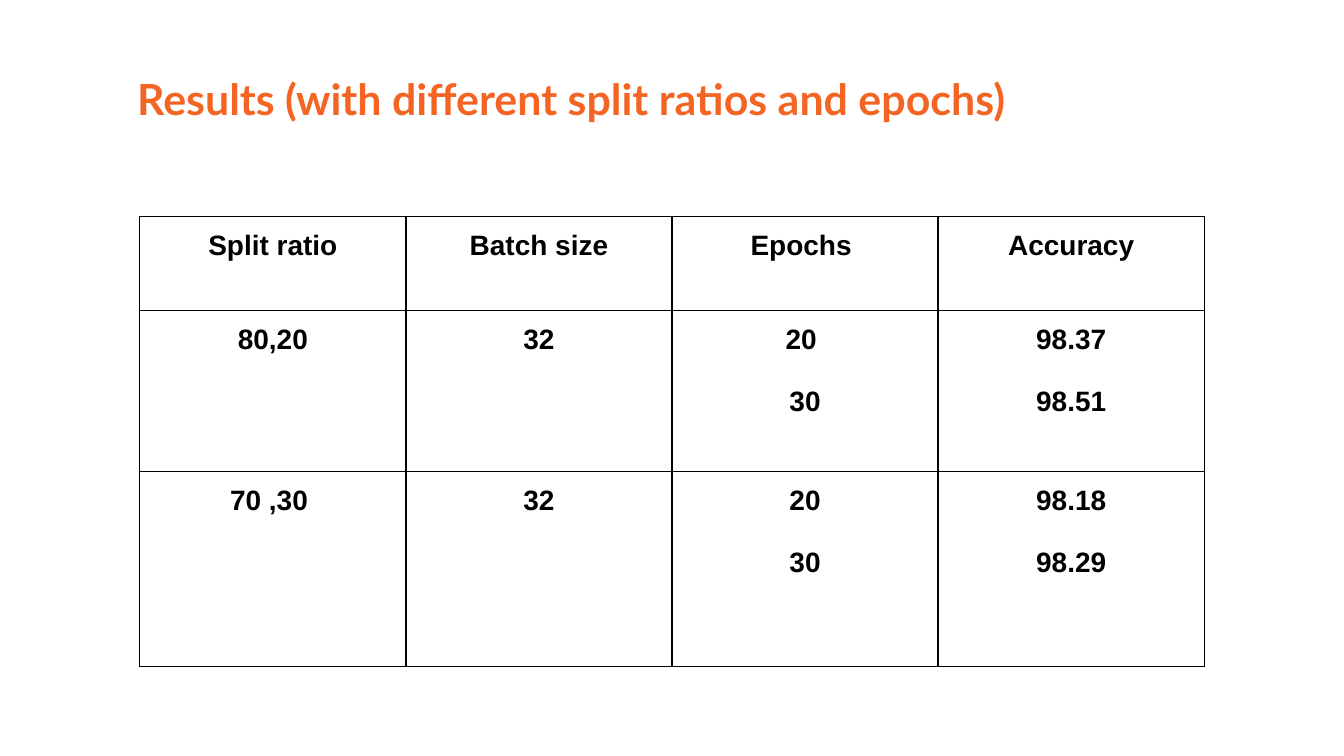
from lxml import etree
from pptx import Presentation
from pptx.dml.color import RGBColor
from pptx.enum.text import MSO_ANCHOR, MSO_AUTO_SIZE, PP_ALIGN
from pptx.oxml.ns import qn
from pptx.util import Inches, Pt

TOP = MSO_ANCHOR.TOP
NO_AUTOFIT = MSO_AUTO_SIZE.NONE
LEFT, CENTER = PP_ALIGN.LEFT, PP_ALIGN.CENTER
ORANGE = RGBColor(0xF4, 0x65, 0x24)
BLACK = RGBColor(0, 0, 0)
WHITE = RGBColor(0xFF, 0xFF, 0xFF)

SLIDE_WIDTH = Inches(10)
SLIDE_HEIGHT = SLIDE_WIDTH * 9 // 16
INSET = Inches(0.1)
MARGINS = {f"margin_{side}": INSET for side in ("left", "right", "top", "bottom")}
TITLE_FONT = {"name": "Lato", "size": Pt(23), "bold": True}
CELL_FONT = {"name": "Arial", "size": Pt(15), "bold": True}
LINE_GAP = Pt(16.5)

TITLE = "Results (with different split ratios and epochs)"
RESULTS = [
    ["Split ratio", "Batch size", "Epochs ", "Accuracy"],
    ["80,20", "32", "20 \n30", "98.37\n98.51"],
    ["70 ,30 ", "32", "20\n30", "98.18\n98.29"],
]
ROW_HEIGHTS = [0.7, 1.2, 1.45]


def set_attrs(obj, values):
    for name, value in values.items():
        setattr(obj, name, value)


def style_paragraph(p, font, color, align):
    p.alignment = align
    for r in p.runs:
        set_attrs(r.font, font)
        r.font.color.rgb = color


def add_title(s, left, top, width, height):
    sp = s.shapes.title
    set_attrs(sp, {"left": Inches(left), "top": Inches(top),
                   "width": Inches(width), "height": Inches(height)})
    tf = sp.text_frame
    set_attrs(tf, {**MARGINS, "word_wrap": True, "auto_size": NO_AUTOFIT,
                   "vertical_anchor": TOP})
    tf.text = TITLE
    style_paragraph(tf.paragraphs[0], TITLE_FONT, ORANGE, LEFT)


def set_borders(cell, color, width):
    tc_pr = cell._tc.get_or_add_tcPr()
    for tag in ("a:lnL", "a:lnR", "a:lnT", "a:lnB"):
        ln = etree.SubElement(tc_pr, qn(tag), w=str(width))
        fill = etree.SubElement(ln, qn("a:solidFill"))
        etree.SubElement(fill, qn("a:srgbClr"), val=str(color))


def fill_cell(cell, text):
    set_attrs(cell, {**MARGINS, "vertical_anchor": TOP})
    set_borders(cell, BLACK, Pt(0.75))
    cell.fill.solid()
    cell.fill.fore_color.rgb = WHITE
    cell.text = text
    for i, p in enumerate(cell.text_frame.paragraphs):
        style_paragraph(p, CELL_FONT, BLACK, CENTER)
        if i:
            p.space_before = LINE_GAP


def add_results_table(s, left, top, width):
    table = s.shapes.add_table(
        len(RESULTS), len(RESULTS[0]), Inches(left), Inches(top),
        Inches(width), Inches(sum(ROW_HEIGHTS))).table
    set_attrs(table, {"first_row": False, "horz_banding": False})
    for row, height, texts in zip(table.rows, ROW_HEIGHTS, RESULTS):
        row.height = Inches(height)
        for cell, text in zip(row.cells, texts):
            fill_cell(cell, text)


def main():
    prs = Presentation()
    set_attrs(prs, {"slide_width": SLIDE_WIDTH, "slide_height": SLIDE_HEIGHT})
    s = prs.slides.add_slide(prs.slide_layouts[5])
    add_title(s, 0.92, 0.44, 8.02, 0.59)
    add_results_table(s, 1.04, 1.61, 7.92)
    prs.save("out.pptx")


if __name__ == "__main__":
    main()
